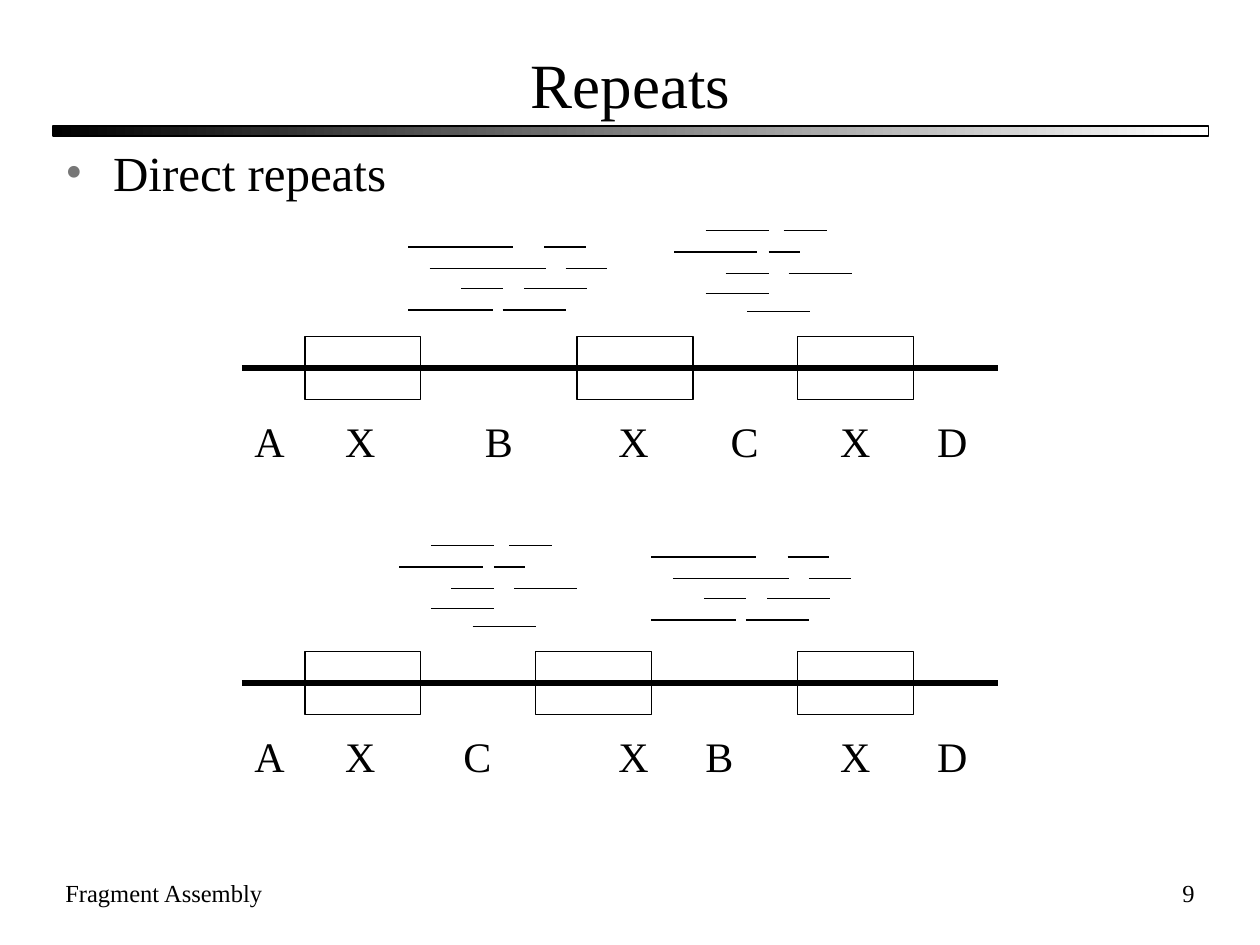
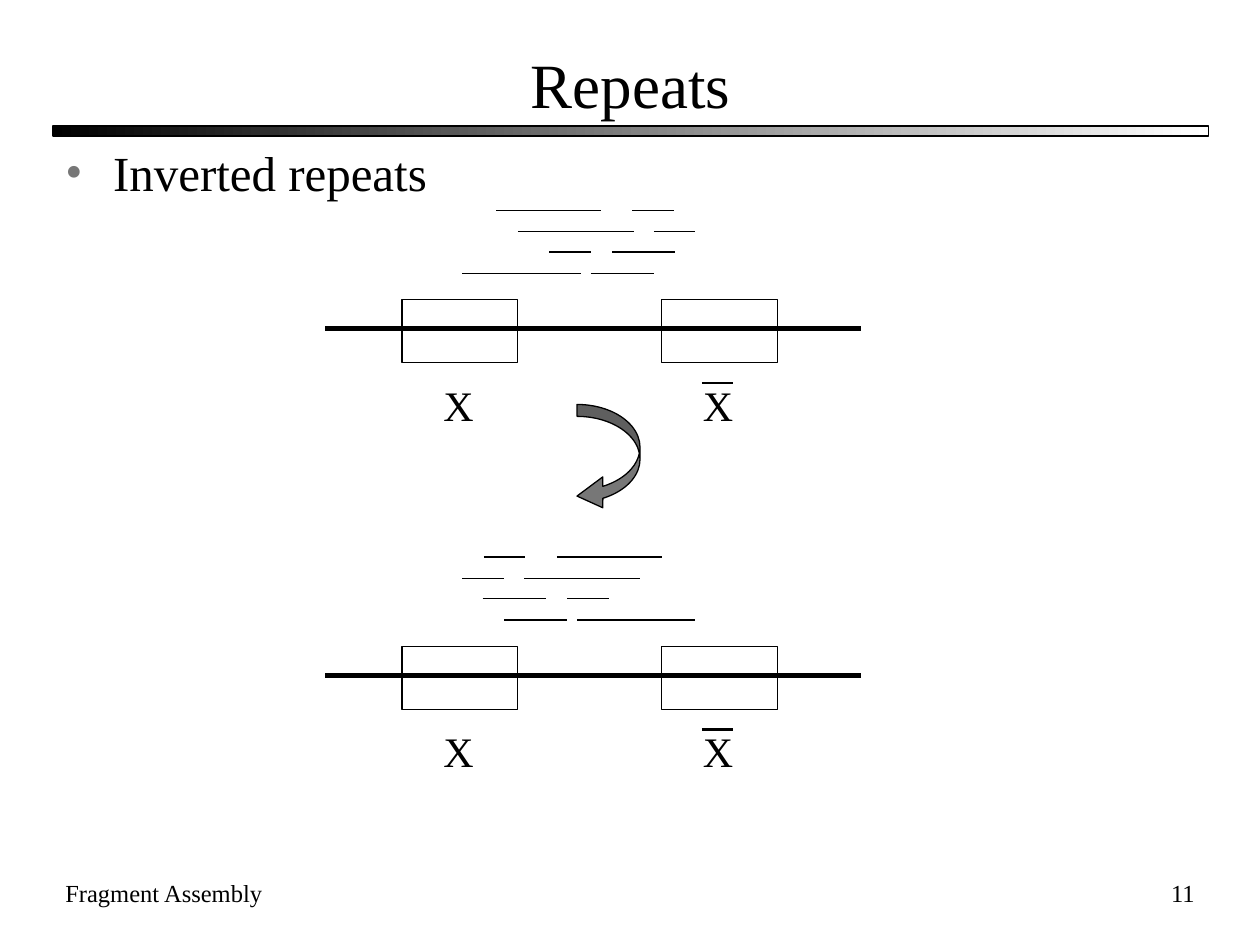
from dataclasses import dataclass

import pptx
import pptx.dml.color
import pptx.enum.shapes
import pptx.enum.text
import pptx.oxml
import pptx.oxml.ns
import pptx.util
from pptx.util import Inches

RGBColor = pptx.dml.color.RGBColor
MSO_SHAPE = pptx.enum.shapes.MSO_SHAPE
PP_ALIGN = pptx.enum.text.PP_ALIGN
MSO_ANCHOR = pptx.enum.text.MSO_ANCHOR

BLACK = RGBColor(0x00, 0x00, 0x00)
WHITE = RGBColor(0xFF, 0xFF, 0xFF)
GRAY = RGBColor(0x77, 0x77, 0x77)
FONT = "Times New Roman"
THIN, OVERLINE, THICK = 0.75, 1.25, 3

MARGIN, CONTENT_W = 0.42, 9.17
BOX_W, BOX_H = 0.92, 0.5
LABEL_W, LABEL_H = 0.44, 0.5


@dataclass(frozen=True)
class Fragment:
    x: float
    y: float
    length: float


@dataclass(frozen=True)
class Label:
    text: str
    x: float
    overlined: bool = False


@dataclass(frozen=True)
class Pile:
    """Fragments placed at a point; mirrored piles run leftwards from it."""
    fragments: list[Fragment]
    x: float
    y: float
    mirrored: bool = False


@dataclass(frozen=True)
class Strand:
    x1: float
    x2: float
    y: float
    box_y: float
    box_xs: list[float]
    label_y: float
    labels: list[Label]


B_UPPER = [
    Fragment(0, 0, 0.83), Fragment(1.08, 0, 0.33),
    Fragment(0.17, 0.17, 0.92), Fragment(1.25, 0.17, 0.33),
    Fragment(0.42, 0.33, 0.33), Fragment(0.92, 0.33, 0.5),
    Fragment(0.75, 0.5, 0.5),
]
B_FRAGMENTS = B_UPPER + [Fragment(0, 0.5, 0.67)]
INVERTED_FRAGMENTS = B_UPPER + [Fragment(-0.27, 0.5, 0.94)]
C_FRAGMENTS = [
    Fragment(0.25, 0, 0.5), Fragment(0.87, 0, 0.34),
    Fragment(0, 0.17, 0.66), Fragment(0.75, 0.17, 0.25),
    Fragment(0.41, 0.34, 0.34), Fragment(0.91, 0.34, 0.5),
    Fragment(0.25, 0.5, 0.5), Fragment(0.58, 0.64, 0.5),
]


def add_text(s, text: str, x: float, y: float, w: float, h: float, size: float,
             align=PP_ALIGN.LEFT, wrap: bool = True):
    tf = s.shapes.add_textbox(Inches(x), Inches(y), Inches(w), Inches(h)).text_frame
    tf.word_wrap = wrap
    write(tf.paragraphs[0], text, size, align)
    return tf


def write(p, text: str, size: float, align) -> None:
    p.alignment = align
    r = p.add_run()
    r.text = text
    r.font.name = FONT
    r.font.size = pptx.util.Pt(size)
    r.font.color.rgb = BLACK


def add_line(s, x1: float, y1: float, x2: float, y2: float, width: float) -> None:
    line = s.shapes.add_connector(pptx.enum.shapes.MSO_CONNECTOR.STRAIGHT,
                                  Inches(x1), Inches(y1), Inches(x2), Inches(y2))
    line.line.color.rgb = BLACK
    line.line.width = pptx.util.Pt(width)
    sp_pr = line._element.spPr
    sp_pr.append(pptx.oxml.parse_xml(
        f"<a:effectLst {pptx.oxml.ns.nsdecls('a')}/>"))


def add_outlined(s, kind, x: float, y: float, w: float, h: float):
    sp = s.shapes.add_shape(kind, Inches(x), Inches(y), Inches(w), Inches(h))
    sp.shadow.inherit = False
    sp.fill.background()
    sp.line.color.rgb = BLACK
    sp.line.width = pptx.util.Pt(THIN)
    return sp


def add_title_band(s) -> None:
    band = add_outlined(s, MSO_SHAPE.RECTANGLE, MARGIN, 1, CONTENT_W, 0.08)
    band.fill.gradient()
    band.fill.gradient_angle = 0
    for stop, color in zip(band.fill.gradient_stops, (BLACK, WHITE)):
        stop.color.rgb = color


def add_title(s, text: str) -> None:
    title = s.shapes.title
    title.left, title.top = Inches(MARGIN), Inches(0.33)
    title.width, title.height = Inches(CONTENT_W), Inches(0.67)
    tf = title.text_frame
    tf.vertical_anchor = MSO_ANCHOR.MIDDLE
    tf.auto_size = pptx.enum.text.MSO_AUTO_SIZE.NONE
    write(tf.paragraphs[0], text, 36, PP_ALIGN.CENTER)


def add_bullet(s, text: str) -> None:
    tf = add_text(s, text, MARGIN, 1.08, 4.5, 0.6, 28)
    p_pr = tf.paragraphs[0]._p.get_or_add_pPr()
    p_pr.set("marL", str(Inches(0.38)))
    p_pr.set("indent", str(Inches(-0.38)))
    ns = pptx.oxml.ns.nsdecls("a")
    for xml in (f'<a:buClr {ns}><a:srgbClr val="{GRAY}"/></a:buClr>',
                f'<a:buFont {ns} typeface="{FONT}"/>',
                f'<a:buChar {ns} char="•"/>'):
        p_pr.append(pptx.oxml.parse_xml(xml))


def add_repeats_slide(prs, kind: str, number: int):
    """Add a slide with the shared title, band and footer."""
    s = prs.slides.add_slide(prs.slide_layouts.get_by_name("Title Only"))
    add_title_band(s)
    add_title(s, "Repeats")
    add_bullet(s, kind)
    add_text(s, "Fragment Assembly", MARGIN, 6.92, 3.5, 0.5, 14)
    add_text(s, str(number), 7.5, 6.92, 2.08, 0.5, 14, PP_ALIGN.RIGHT)
    return s


def draw_strand(s, strand: Strand) -> None:
    add_line(s, strand.x1, strand.y, strand.x2, strand.y, THICK)
    for x in strand.box_xs:
        add_outlined(s, MSO_SHAPE.RECTANGLE, x, strand.box_y, BOX_W, BOX_H)
    for label in strand.labels:
        add_text(s, label.text, label.x, strand.label_y, LABEL_W, LABEL_H, 24,
                 wrap=False)
        if label.overlined:
            y = strand.label_y + 0.08
            add_line(s, label.x + 0.09, y, label.x + 0.34, y, OVERLINE)


def draw_pile(s, pile: Pile) -> None:
    direction = -1 if pile.mirrored else 1
    for f in pile.fragments:
        x1, x2 = sorted(pile.x + direction * d for d in (f.x, f.x + f.length))
        add_line(s, x1, pile.y + f.y, x2, pile.y + f.y, THIN)


def direct_strand(y: float, middle_box_x: float, first: Label, second: Label) -> Strand:
    labels = [Label("A", 1.92), Label("X", 2.64), first, Label("X", 4.81),
              second, Label("X", 6.57), Label("D", 7.34)]
    return Strand(1.92, 7.92, y, y - 0.25, [2.42, middle_box_x, 6.33], y + 0.33, labels)


def inverted_strand(y: float) -> Strand:
    return Strand(2.58, 6.83, y, y - 0.23, [3.19, 5.25], y + 0.35,
                  [Label("X", 3.42), Label("X", 5.48, overlined=True)])


def add_inversion_arrow(s) -> None:
    arrow = add_outlined(s, MSO_SHAPE.CURVED_LEFT_ARROW, 4.58, 3.21, 0.5, 0.85)
    arrow.fill.solid()
    arrow.fill.fore_color.rgb = GRAY
    for i, value in enumerate((0.19, 0.49, 0.41)):
        arrow.adjustments[i] = value


def build_direct_repeats(prs) -> None:
    s = add_repeats_slide(prs, "Direct repeats", 9)
    draw_strand(s, direct_strand(2.92, 4.58, Label("B", 3.75), Label("C", 5.7)))
    draw_pile(s, Pile(B_FRAGMENTS, 3.24, 1.96))
    draw_pile(s, Pile(C_FRAGMENTS, 5.35, 1.83))
    draw_strand(s, direct_strand(5.42, 4.25, Label("C", 3.58), Label("B", 5.5)))
    draw_pile(s, Pile(B_FRAGMENTS, 5.17, 4.42))
    draw_pile(s, Pile(C_FRAGMENTS, 3.17, 4.33))


def build_inverted_repeats(prs) -> None:
    s = add_repeats_slide(prs, "Inverted repeats", 11)
    draw_strand(s, inverted_strand(2.61))
    draw_pile(s, Pile(INVERTED_FRAGMENTS, 3.94, 1.67))
    add_inversion_arrow(s)
    draw_strand(s, inverted_strand(5.36))
    draw_pile(s, Pile(INVERTED_FRAGMENTS, 5.25, 4.42, mirrored=True))


def main() -> None:
    prs = pptx.Presentation()
    prs.slide_width, prs.slide_height = Inches(10), Inches(7.5)
    build_direct_repeats(prs)
    build_inverted_repeats(prs)
    prs.save("out.pptx")


if __name__ == "__main__":
    main()
